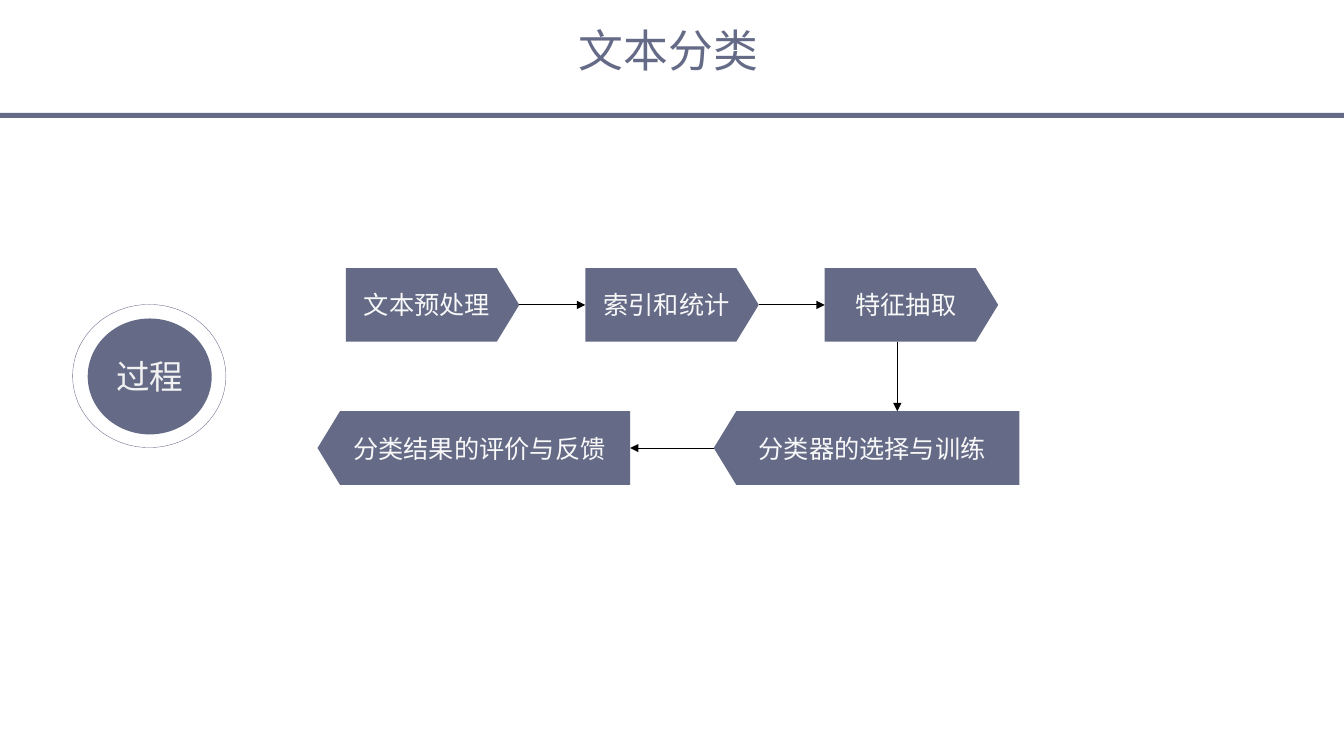
"""Build the slide showing the five steps of text classification."""
from dataclasses import dataclass

from lxml import etree
from pptx import Presentation
from pptx import util as u
from pptx.dml.color import RGBColor
from pptx.enum import shapes, text
from pptx.oxml.ns import qn

COLORS = {"slate": "656B87", "pale": "F2F2F2", "label": "F8F8F8", "black": "000000"}
CJK_FONT = "Noto Sans CJK SC"
STEP_HEIGHT = 0.73
TOP_ROW, BOTTOM_ROW = 2.66, 4.08
FIRST_LEFT, STEP_PITCH, STEP_WIDTH = 3.43, 2.375, 1.72


@dataclass
class Step:
    label: str
    left: float
    top: float
    width: float
    points_left: bool = False


STEPS = [
    Step(label, FIRST_LEFT + STEP_PITCH * column, TOP_ROW, STEP_WIDTH)
    for column, label in enumerate(["文本预处理", "索引和统计", "特征抽取"])
] + [
    Step("分类器的选择与训练", 7.08, BOTTOM_ROW, 3.03, True),
    Step("分类结果的评价与反馈", 3.15, BOTTOM_ROW, 3.1, True),
]


def color(name: str) -> RGBColor:
    return RGBColor.from_string(COLORS[name])


def write(holder, words: str, *, size: float, ink: str, font: str = CJK_FONT,
          wrap: bool = True, margin: float | None = None) -> None:
    frame = holder.text_frame
    frame.word_wrap = wrap
    frame.vertical_anchor = text.MSO_ANCHOR.MIDDLE
    if margin is not None:
        frame.margin_left = frame.margin_right = u.Inches(margin)
        frame.margin_top = frame.margin_bottom = u.Inches(margin)
    paragraph = frame.paragraphs[0]
    paragraph.alignment = text.PP_ALIGN.CENTER
    run = paragraph.add_run()
    run.text = words
    run.font.size = u.Pt(size)
    run.font.name = font
    run.font.color.rgb = color(ink)
    etree.SubElement(run.font._element, qn("a:ea"), typeface=font)


def add_figure(slide, kind, left: float, top: float, width: float, height: float,
               fill: str | None = None, outline: str | None = None):
    figure = slide.shapes.add_shape(
        kind, u.Inches(left), u.Inches(top), u.Inches(width), u.Inches(height))
    figure.shadow.inherit = False
    if fill:
        figure.fill.solid()
        figure.fill.fore_color.rgb = color(fill)
    else:
        figure.fill.background()
    if outline:
        figure.line.color.rgb = color(outline)
        figure.line.width = u.Pt(0.25)
    else:
        figure.line.fill.background()
    return figure


def add_step(slide, step: Step):
    plate = add_figure(slide, shapes.MSO_SHAPE.PENTAGON, step.left, step.top,
                       step.width, STEP_HEIGHT, fill="slate")
    plate.adjustments[0] = 0.305
    if step.points_left:
        plate._element.spPr.xfrm.set("flipH", "1")
    write(plate, step.label, size=18, ink="label", wrap=False)
    return plate


def add_arrow(slide, x1: float, y1: float, x2: float, y2: float):
    arrow = slide.shapes.add_connector(
        shapes.MSO_CONNECTOR.STRAIGHT,
        u.Inches(x1), u.Inches(y1), u.Inches(x2), u.Inches(y2))
    arrow.line.color.rgb = color("black")
    arrow.line.width = u.Pt(0.75)
    etree.SubElement(arrow.line._get_or_add_ln(), qn("a:tailEnd"), type="triangle")
    etree.SubElement(arrow._element.spPr, qn("a:effectLst"))
    return arrow


def main() -> None:
    deck = Presentation()
    deck.slide_width, deck.slide_height = u.Inches(13.33), u.Inches(7.5)
    slide = deck.slides.add_slide(deck.slide_layouts[6])

    add_figure(slide, shapes.MSO_SHAPE.RECTANGLE, 0, 1.12, 13.33, 0.05, fill="slate")
    title = slide.shapes.add_textbox(
        u.Inches(4.85), u.Inches(0.22), u.Inches(3.56), u.Inches(0.54))
    write(title, "文本分类", size=32, ink="slate", margin=0)

    process = add_figure(slide, shapes.MSO_SHAPE.OVAL, 0.87, 3.16, 1.23, 1.15, fill="slate")
    write(process, "过程", size=24, ink="pale", font="Calibri")
    add_figure(slide, shapes.MSO_SHAPE.OVAL, 0.72, 3.02, 1.52, 1.42, outline="slate")

    plates = [add_step(slide, step) for step in STEPS]
    top_middle = TOP_ROW + STEP_HEIGHT / 2
    bottom_middle = BOTTOM_ROW + STEP_HEIGHT / 2
    for before, after in ((0, 1), (1, 2)):
        onward = add_arrow(slide, STEPS[before].left + STEP_WIDTH, top_middle,
                           STEPS[after].left, top_middle)
        onward.begin_connect(plates[before], 3)
        onward.end_connect(plates[after], 1)
    add_arrow(slide, 8.9, TOP_ROW + STEP_HEIGHT, 8.9, BOTTOM_ROW)
    training, feedback = STEPS[3:]
    add_arrow(slide, training.left, bottom_middle,
              feedback.left + feedback.width, bottom_middle)

    deck.save("out.pptx")


if __name__ == "__main__":
    main()
